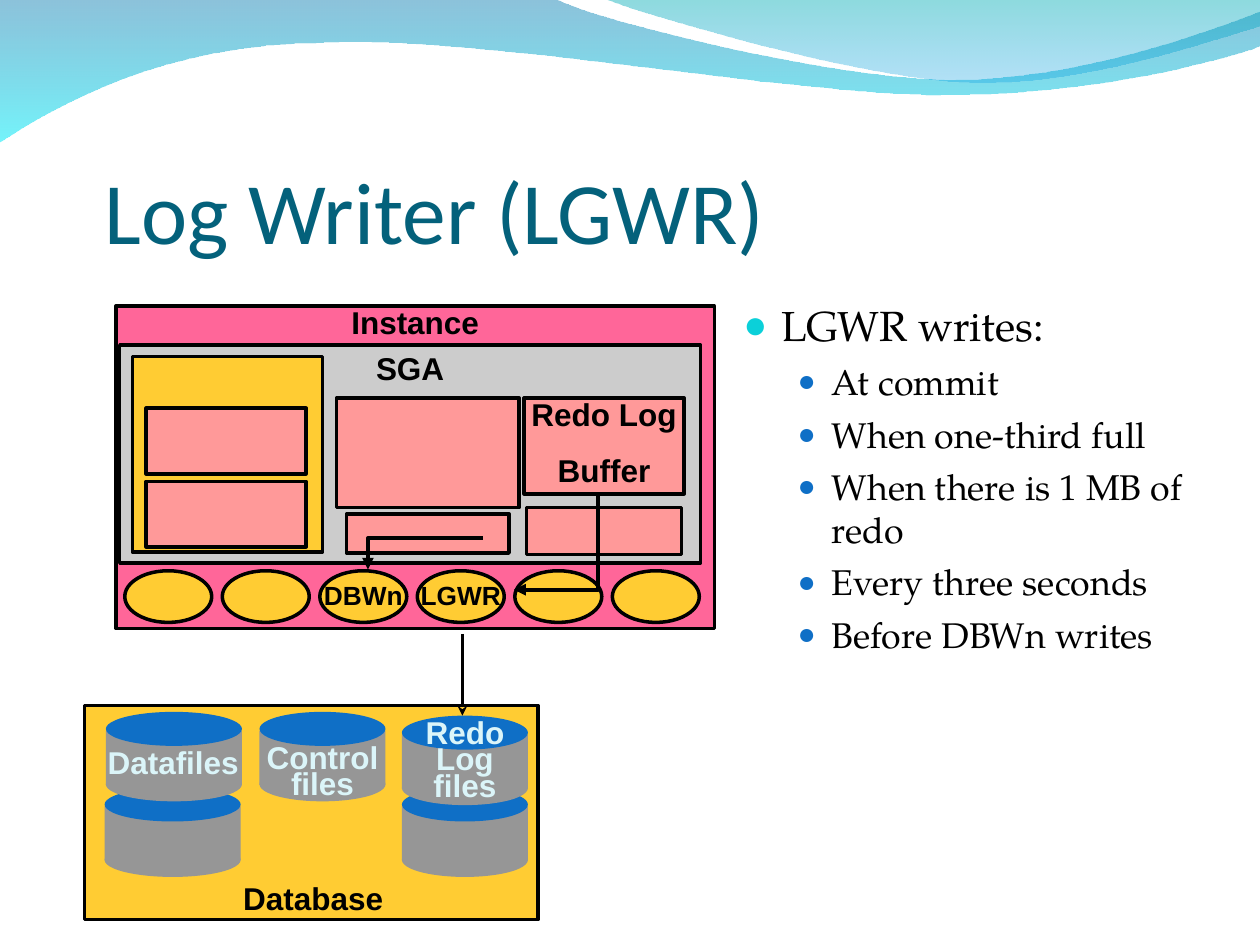
"""Build the Log Writer (LGWR) architecture slide."""
from dataclasses import dataclass

from lxml.etree import SubElement
from pptx import Presentation
from pptx.dml.color import RGBColor
from pptx.enum.shapes import MSO_CONNECTOR, MSO_SHAPE
from pptx.enum.text import MSO_ANCHOR, MSO_AUTO_SIZE, PP_ALIGN
from pptx.oxml.ns import qn
from pptx.util import Inches, Pt


@dataclass(frozen=True)
class Theme:
    ink: str = "000000"
    title: str = "04617B"
    bullet: str = "0BD0D9"
    blue: str = "0F6FC6"
    pink: str = "FF6699"
    gray: str = "CCCCCC"
    yellow: str = "FFCC33"
    salmon: str = "FF9999"
    cylinder: str = "969696"
    label: str = "DBF5F9"
    title_size: float = 50
    lead_size: float = 24
    item_size: float = 20.4
    label_size: float = 18
    process_size: float = 15
    title_font: str = "Calibri"
    body_font: str = "TeX Gyre Pagella"
    label_font: str = "Arial"


theme = Theme()


def add_block(shapes, kind, at, fill, outlined=True):
    block = shapes.add_shape(kind, *map(Inches, at))
    block.shadow.inherit = False
    block.fill.solid()
    block.fill.fore_color.rgb = RGBColor.from_string(fill)
    if outlined:
        block.line.color.rgb = RGBColor.from_string(theme.ink)
        block.line.width = Pt(2)
    else:
        block.line.fill.background()
    return block


def write_text(shape, text, size, color, font=theme.label_font, bold=True, align=PP_ALIGN.CENTER,
               anchor=MSO_ANCHOR.TOP, insets=(0.05, 0.05), wrap=False, spacing=None, before=None):
    frame = shape.text_frame
    frame.text = text
    frame.word_wrap = wrap
    frame.auto_size = MSO_AUTO_SIZE.NONE
    frame.vertical_anchor = anchor
    frame.margin_left = frame.margin_right = Inches(insets[0])
    frame.margin_top = frame.margin_bottom = Inches(insets[1])
    for para in frame.paragraphs:
        para.alignment = align
        para.line_spacing = spacing
        para.space_before = before
        for span in para.runs:
            span.font.name = font
            span.font.size = Pt(size)
            span.font.bold = bold
            span.font.color.rgb = RGBColor.from_string(color)
    return frame


deck = Presentation()
deck.slide_width, deck.slide_height = Inches(10), Inches(7.5)
slide = deck.slides.add_slide(deck.slide_layouts[1])
shapes = slide.shapes

title, body = shapes.title, slide.placeholders[1]
title.left, title.top, title.width, title.height = map(Inches, (0.83, 0.83, 8.67, 1.25))
write_text(title, "Log Writer (LGWR)", theme.title_size, theme.title, theme.title_font, False,
           PP_ALIGN.LEFT, MSO_ANCHOR.BOTTOM, (0, 0), True)
title.text_frame.margin_top = Inches(0.05)

body.left, body.top, body.width, body.height = map(Inches, (5.8, 2.33, 3.94, 2.96))
items = ["LGWR writes:", "At commit", "When one-third full", "When there is 1 MB of redo",
         "Every three seconds", "Before DBWn writes"]
body_frame = write_text(body, "\n".join(items), theme.item_size, theme.ink, theme.body_font, False,
                        PP_ALIGN.LEFT, insets=(0.1, 0.05), wrap=True, before=Pt(5.5))
lead = body_frame.paragraphs[0]
lead.space_before = Pt(6.5)
lead.runs[0].font.size = Pt(theme.lead_size)
for para in body_frame.paragraphs:
    is_lead = para.text == items[0]
    para.level = 0 if is_lead else 1
    margin, hang, color, percent = (
        (0.3, 0.3, theme.bullet, 95) if is_lead else (0.7, 0.27, theme.blue, 85))
    properties = para._p.get_or_add_pPr()
    properties.set("marL", str(Inches(margin)))
    properties.set("indent", str(-Inches(hang)))
    SubElement(SubElement(properties, qn("a:buClr")), qn("a:srgbClr"), val=color)
    SubElement(properties, qn("a:buSzPct"), val=str(percent * 1000))
    SubElement(properties, qn("a:buFont"), typeface=theme.label_font)
    SubElement(properties, qn("a:buChar"), char="●")

waves = [
    ([[(0, -0.01)], [(4.4, -0.01)], [(4.76, 0.17), (6.64, 0.63), (7.58, 0.63)],
      [(8.53, 0.63), (9.58, 0.26), (10, 0.09)], [(10.01, 0.36)],
      [(9.83, 0.44), (8.7, 0.76), (7.46, 0.75)], [(6.22, 0.75), (3.82, 0.28), (2.57, 0.34)],
      [(1.29, 0.35), (0.46, 0.83), (-0.01, 1.13)], [(0, -0.01)]], [("0079AF", 45), ("00EBF8", 55)]),
    ([[(4.79, -0.01)], [(5.09, 0.11), (6.82, 0.62), (7.69, 0.65)],
      [(8.56, 0.69), (9.61, 0.32), (10, 0.21)], [(10, 0)], [(4.79, -0.01)]],
     [("00ADB6", 45), ("009BE5", 30)]),
]
for segments, stops in waves:
    corners = [(Inches(x), Inches(y)) for segment in segments for x, y in segment]
    builder = shapes.build_freeform(*corners[0])
    builder.add_line_segments(corners[1:], close=True)
    wave = builder.convert_to_shape()
    lines = iter(list(wave._element.iter(qn("a:lnTo"))))
    for segment in segments[1:]:
        pieces = [next(lines) for point in segment]
        if len(pieces) == 3:
            curve = pieces[0].makeelement(qn("a:cubicBezTo"))
            pieces[0].addprevious(curve)
            for piece in pieces:
                curve.append(piece[0])
                piece.getparent().remove(piece)
    wave.shadow.inherit = False
    wave.line.fill.background()
    wave.fill.gradient()
    wave.fill.gradient_angle = 270
    for stop, (color, opacity) in zip(wave.fill.gradient_stops, stops):
        stop.color.rgb = RGBColor.from_string(color)
    for tint, (color, opacity) in zip(wave._element.spPr.iter(qn("a:srgbClr")), stops):
        SubElement(tint, qn("a:alpha"), val=str(opacity * 1000))
    title._element.addprevious(wave._element)

instance = add_block(shapes, MSO_SHAPE.RECTANGLE, (0.92, 2.43, 4.75, 2.56), theme.pink)
write_text(instance, "Instance", theme.label_size, theme.ink, insets=(0.05, 0), spacing=0.95)
sga = add_block(shapes, MSO_SHAPE.RECTANGLE, (0.95, 2.74, 4.61, 1.73), theme.gray)
write_text(sga, "SGA", theme.label_size, theme.ink, spacing=0.95)
add_block(shapes, MSO_SHAPE.RECTANGLE, (0.67, 5.6, 3.6, 1.7), theme.yellow)

for left, top, width in [(2.06, 5.65, 1), (0.83, 6.25, 1.08), (0.84, 5.65, 1.08),
                         (3.19, 6.25, 1), (3.19, 5.68, 1)]:
    parts = shapes.add_group_shape().shapes
    for kind, drop, height, color in [(MSO_SHAPE.RECTANGLE, 0.15, 0.43, theme.cylinder),
                                      (MSO_SHAPE.OVAL, 0, 0.27, theme.blue),
                                      (MSO_SHAPE.OVAL, 0.44, 0.27, theme.cylinder)]:
        add_block(parts, kind, (left, top + drop, width, height), color, outlined=False)

for text, at in [("Control files", (1.92, 5.88, 1.28, 0.54)),
                 ("Datafiles", (0.71, 5.92, 1.33, 0.33)),
                 ("Redo Log files", (3.12, 5.68, 1.14, 0.74))]:
    box = shapes.add_textbox(*map(Inches, at))
    write_text(box, text, theme.label_size, theme.label, insets=(0.11, 0.06), wrap=True,
               spacing=0.7, before=Pt(11.2))
database = shapes.add_textbox(*map(Inches, (1.83, 6.93, 1.31, 0.4)))
write_text(database, "Database", theme.label_size, theme.ink, insets=(0.1, 0.05))

redo_buffer = add_block(shapes, MSO_SHAPE.RECTANGLE, (4.16, 3.16, 1.27, 0.76), theme.salmon)
buffer_frame = write_text(redo_buffer, "Redo Log\nBuffer", theme.label_size, theme.ink,
                          anchor=MSO_ANCHOR.MIDDLE, spacing=0.75)
buffer_frame.paragraphs[1].space_before = Pt(16)

add_block(shapes, MSO_SHAPE.RECTANGLE, (1.05, 2.83, 1.51, 1.55), theme.yellow)
for at in [(1.16, 3.82, 1.27, 0.52), (1.16, 3.24, 1.27, 0.52), (2.67, 3.16, 1.45, 0.87),
           (2.75, 4.08, 1.29, 0.31), (4.18, 4.03, 1.23, 0.37)]:
    add_block(shapes, MSO_SHAPE.RECTANGLE, at, theme.salmon)

processes = ["", "", "DBWn", "LGWR", "", ""]
pitch = (4.86 - 0.99) / (len(processes) - 1)
for index, name in enumerate(processes):
    process = add_block(shapes, MSO_SHAPE.OVAL, (0.99 + index * pitch, 4.53, 0.69, 0.41), theme.yellow)
    if name:
        write_text(process, name, theme.process_size, theme.ink, anchor=MSO_ANCHOR.MIDDLE, spacing=0.95)

write_arrow = shapes.add_connector(MSO_CONNECTOR.STRAIGHT, *map(Inches, (3.67, 5.03, 3.67, 5.68)))
arrows = [(write_arrow, 2, "stealth")]
for route in [[(4.75, 3.93), (4.75, 4.68), (4.08, 4.68)], [(3.83, 4.27), (2.92, 4.27), (2.92, 4.52)]]:
    corners = [(Inches(x), Inches(y)) for x, y in route]
    builder = shapes.build_freeform(*corners[0])
    builder.add_line_segments(corners[1:], close=False)
    elbow = builder.convert_to_shape()
    elbow.fill.background()
    arrows.append((elbow, 2.25, "triangle"))
for arrow, width, head in arrows:
    arrow.line.color.rgb = RGBColor.from_string(theme.ink)
    arrow.line.width = Pt(width)
    SubElement(arrow.line._get_or_add_ln(), qn("a:tailEnd"), type=head)
    SubElement(arrow._element.spPr, qn("a:effectLst"))

deck.save("out.pptx")
